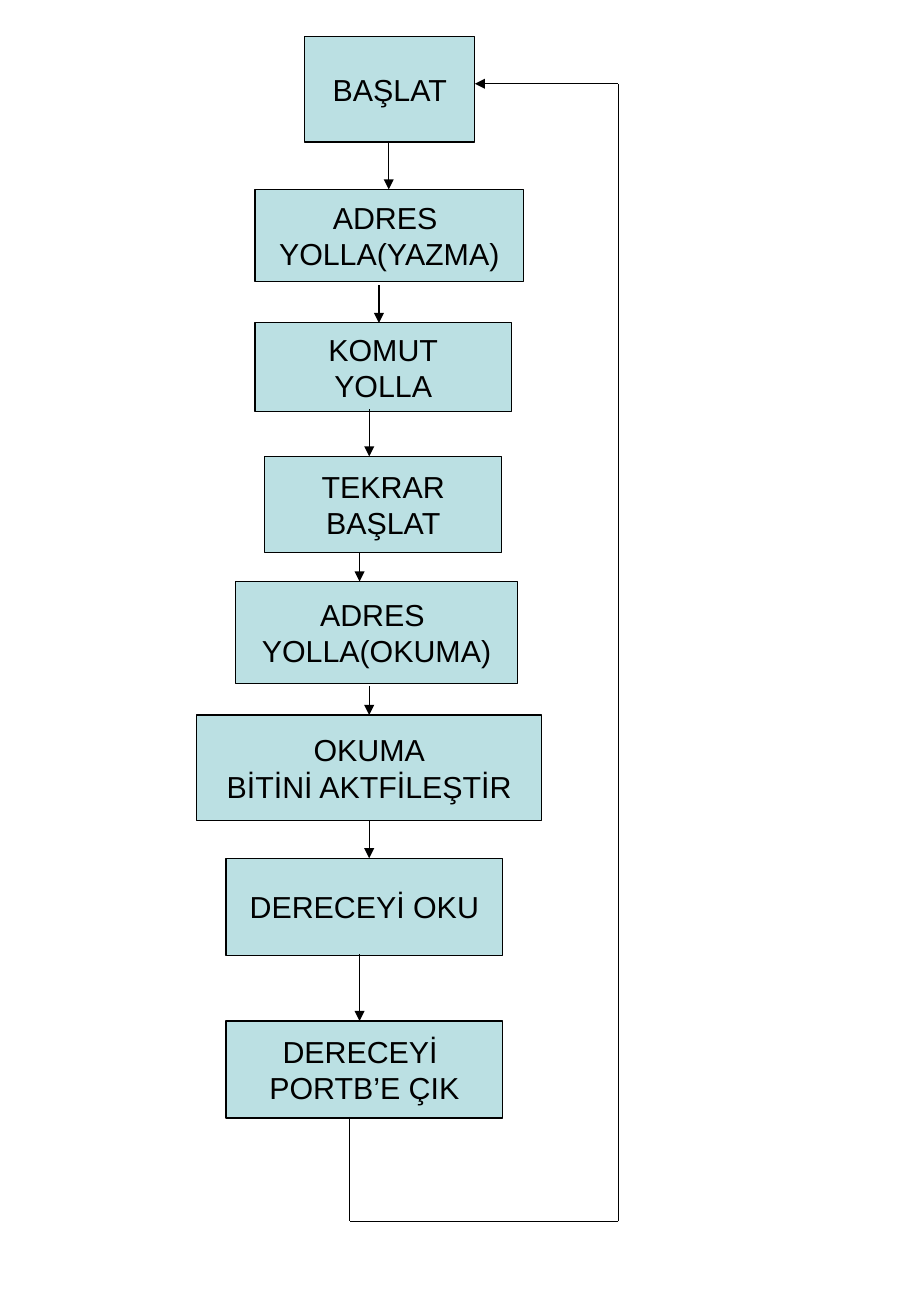
"""Build a one-page flowchart of a temperature sensor reading loop."""
from lxml import etree
from pptx import Presentation
from pptx.dml.color import RGBColor
from pptx.enum.shapes import MSO_CONNECTOR as Connector, MSO_SHAPE as Shape
from pptx.enum.text import MSO_ANCHOR as Anchor, PP_ALIGN as Align
from pptx.oxml.ns import qn
from pptx.util import Pt

PX = 9144
BLACK = RGBColor(0x00, 0x00, 0x00)
PALE_TEAL = RGBColor(0xBB, 0xE0, 0xE3)
LOOP_X, LOOP_TOP, LOOP_BOTTOM = 509, 69, 1006
RETURN_X, RETURN_TOP = 288, 920

STEPS = [
    (251, 30, 140, 87, "BAŞLAT"),
    (210, 156, 221, 76, "ADRES \nYOLLA(YAZMA)"),
    (210, 266, 211, 73, "KOMUT\nYOLLA"),
    (218, 376, 195, 79, "TEKRAR\nBAŞLAT"),
    (194, 479, 232, 84, "ADRES \nYOLLA(OKUMA)"),
    (162, 589, 284, 87, "OKUMA\nBİTİNİ AKTFİLEŞTİR"),
    (186, 707, 228, 80, "DERECEYİ OKU"),
    (186, 841, 228, 80, "DERECEYİ \nPORTB’E ÇIK"),
]
ARROW_STARTS = [(320, 116), (312, 235), (304, 337), (296, 455),
                (304, 565), (304, 676), (296, 786)]

deck = Presentation()
deck.slide_width, deck.slide_height = 750 * PX, 1084 * PX
page = deck.slides.add_slide(deck.slide_layouts[6])


def draw_line(start_x, start_y, end_x, end_y, arrow=False):
    line = page.shapes.add_connector(
        Connector.STRAIGHT, start_x * PX, start_y * PX, end_x * PX, end_y * PX)
    line.line.color.rgb = BLACK
    line.line.width = Pt(0.75)
    if arrow:
        etree.SubElement(line.get_or_add_ln(), qn("a:tailEnd"), type="triangle")
    etree.SubElement(line._element.spPr, qn("a:effectLst"))


for left, top, width, height, label in STEPS:
    box = page.shapes.add_shape(
        Shape.RECTANGLE, left * PX, top * PX, width * PX, height * PX)
    box.shadow.inherit = False
    box.fill.solid()
    box.fill.fore_color.rgb = PALE_TEAL
    box.line.color.rgb = BLACK
    box.line.width = Pt(0.75)
    frame = box.text_frame
    frame.word_wrap = False
    frame.vertical_anchor = Anchor.MIDDLE
    frame.text = label
    for para in frame.paragraphs:
        para.alignment = Align.CENTER
        for span in para.runs:
            span.font.name = "Arial"
            span.font.size = Pt(18)
            span.font.color.rgb = BLACK

for (x, y), next_step in zip(ARROW_STARTS, STEPS[1:]):
    draw_line(x, y, x, next_step[1], arrow=True)

first_left, _, first_width, _, _ = STEPS[0]
draw_line(LOOP_X, LOOP_BOTTOM, LOOP_X, LOOP_TOP)
draw_line(LOOP_X, LOOP_TOP, first_left + first_width, LOOP_TOP, arrow=True)
draw_line(LOOP_X, LOOP_BOTTOM, RETURN_X, LOOP_BOTTOM)
draw_line(RETURN_X, RETURN_TOP, RETURN_X, LOOP_BOTTOM)

deck.save("out.pptx")
